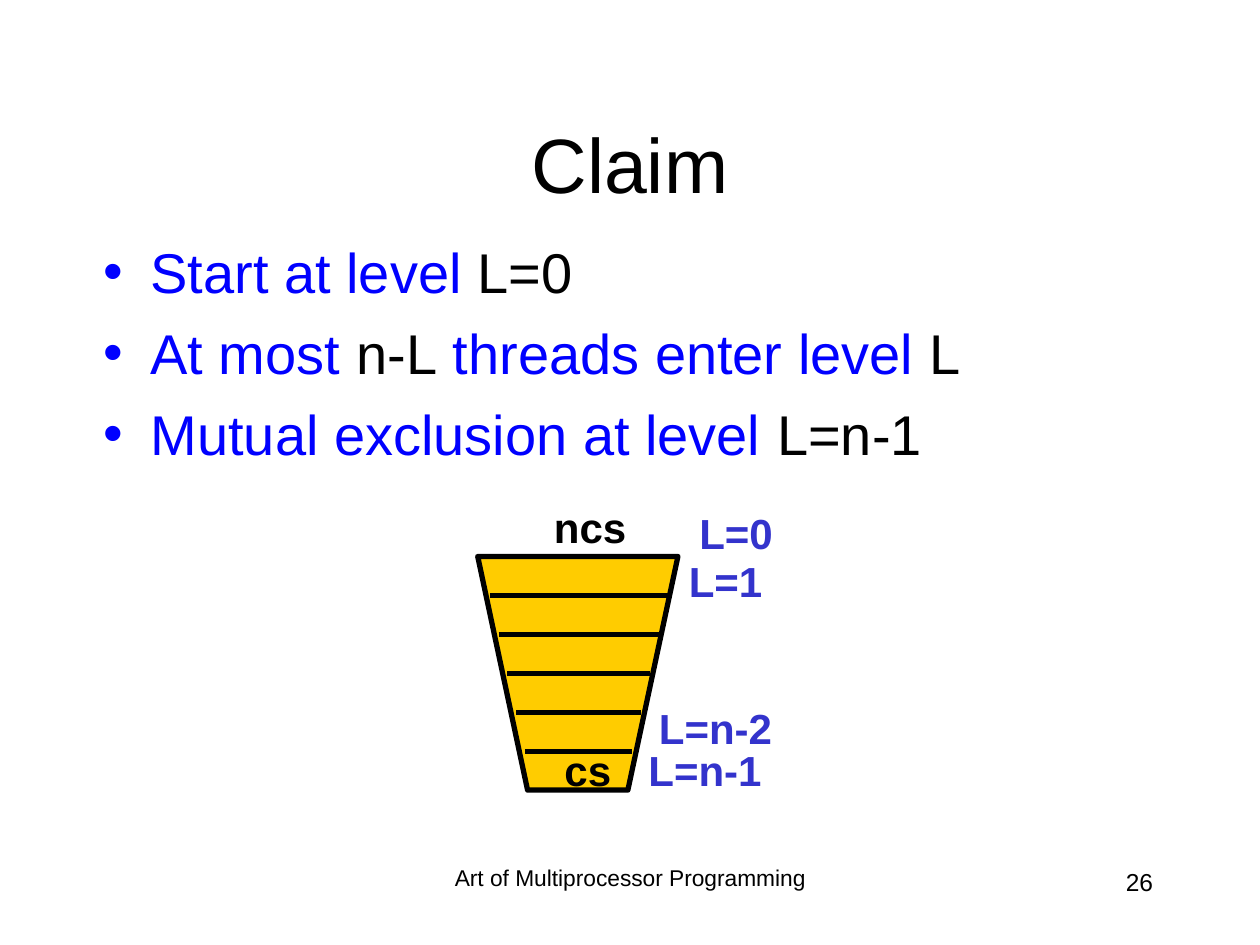
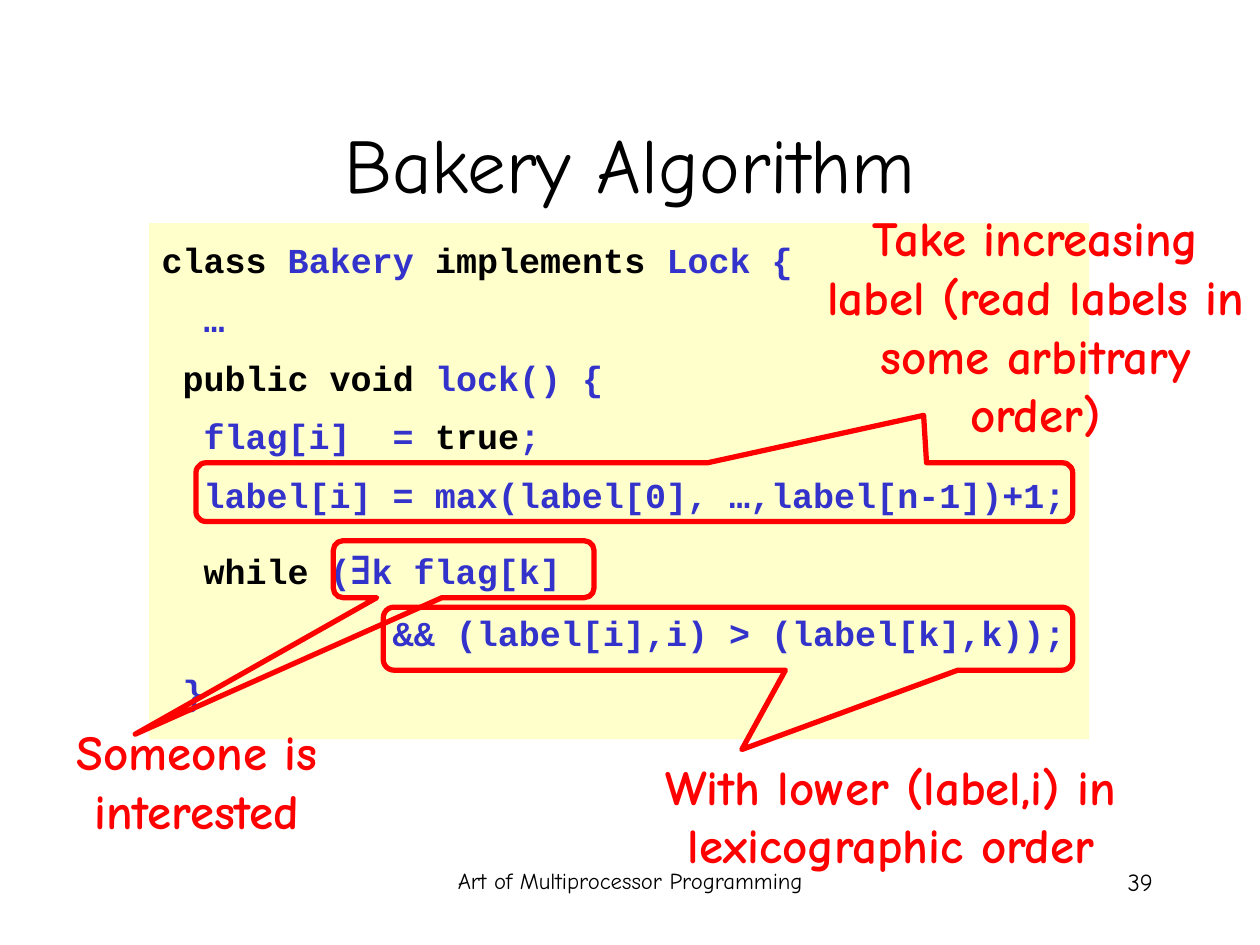
import pptx
import pptx.util
import pptx.dml.color
import pptx.enum.shapes
import pptx.enum.text
import pptx.oxml.ns
import lxml.etree

Pt = pptx.util.Pt
Shape = pptx.enum.shapes.MSO_SHAPE
Align = pptx.enum.text.PP_ALIGN
qn = pptx.oxml.ns.qn

HUES = {"black": "000000", "blue": "0000FF", "navy": "3333CC",
        "gold": "FFCC00", "cream": "FFFFCC", "red": "FF0000"}


def rgb(name):
    return pptx.dml.color.RGBColor.from_string(HUES[name])


class Deck:
    """Holds the style and the current slide."""

    def __init__(self):
        self.prs = pptx.Presentation()
        self.prs.slide_width, self.prs.slide_height = Pt(720), Pt(540)
        self.face = "Arial"

    def start(self, title, number, face, lead=None):
        self.face = face
        self.slide = self.prs.slides.add_slide(self.prs.slide_layouts[5])
        self.shapes = self.slide.shapes
        head = self.shapes.title
        head.left, head.top, head.width, head.height = map(Pt, (54, 48, 612, 90))
        frame = head.text_frame
        frame.text = title
        frame.vertical_anchor = pptx.enum.text.MSO_ANCHOR.MIDDLE
        self.style(frame.paragraphs[0], 44, "black", align=Align.CENTER)
        # Footer and slide number
        foot = self.text("Art of Multiprocessor Programming", (246, 492, 228, 36),
                         13, align=Align.CENTER)
        foot.line_spacing = lead
        self.text(number, (516, 492, 150, 36), 14, align=Align.RIGHT)

    def style(self, para, size, hue, bold=False, align=Align.LEFT, face=None):
        para.alignment = align
        font = para.font
        font.name, font.size, font.bold = face or self.face, Pt(size), bold
        font.color.rgb = rgb(hue)

    def text(self, words, spot, size, hue="black", bold=False,
             align=Align.LEFT, wrap=True):
        frame = self.shapes.add_textbox(*map(Pt, spot)).text_frame
        frame.word_wrap = wrap
        if not wrap:
            frame.auto_size = pptx.enum.text.MSO_AUTO_SIZE.SHAPE_TO_FIT_TEXT
        para = frame.paragraphs[0]
        para.text = words
        self.style(para, size, hue, bold, align)
        return para

    def label(self, words, left, top, width, hue="navy"):
        self.text(words, (left, top, width, 36), 24, hue, True, wrap=False)

    def note(self, words, *spot):
        self.text(words, spot, 28, "red", True, Align.CENTER)

    def lines(self, frame, rows, size, hue, gap, bold=False, face=None,
              lead=None, dot=False):
        """Fill a frame; bars in a row switch between black and the hue."""
        frame.word_wrap = True
        for at, row in enumerate(rows):
            para = frame.add_paragraph() if at else frame.paragraphs[0]
            if at:
                para.space_before = Pt(gap)
            para.line_spacing = lead
            if dot:
                self.bullet(para, hue)
            self.style(para, size, hue, bold, face=face)
            for turn, part in enumerate(row.split("|")):
                for bit in filter(None, part.partition("∃")):
                    run = para.add_run()
                    run.text = bit
                    run.font.color.rgb = rgb(hue if turn % 2 else "black")
                    if bit == "∃":
                        run.font.name, run.font.size = "Arial", Pt(28)

    def bullet(self, para, hue):
        props = para._p.get_or_add_pPr()
        props.set("marL", str(Pt(27)))
        props.set("indent", str(-Pt(27)))
        tint = lxml.etree.SubElement(props, qn("a:buClr"))
        lxml.etree.SubElement(tint, qn("a:srgbClr"), val=HUES[hue])
        lxml.etree.SubElement(props, qn("a:buFont"), typeface=self.face)
        lxml.etree.SubElement(props, qn("a:buChar"), char="•")

    def paint(self, shape, fill=None, line=None):
        shape.shadow.inherit = False
        if fill:
            shape.fill.solid()
            shape.fill.fore_color.rgb = rgb(fill)
        else:
            shape.fill.background()
        if line:
            shape.line.color.rgb = rgb(line)
            shape.line.width = Pt(3)
        else:
            shape.line.fill.background()

    def shape(self, kind, spot, fill=None, line=None):
        shape = self.shapes.add_shape(kind, *map(Pt, spot))
        self.paint(shape, fill, line)
        return shape

    def callout(self, spot, tip):
        shape = self.shape(Shape.ROUNDED_RECTANGULAR_CALLOUT, spot, line="red")
        for at, value in enumerate((*tip, 0.17)):
            shape.adjustments[at] = value

    def outline(self, dots, fill, line):
        first, *rest = [(Pt(x), Pt(y)) for x, y in dots]
        pen = self.shapes.build_freeform(*first)
        pen.add_line_segments(rest, close=True)
        self.paint(pen.convert_to_shape(), fill, line)

    def line(self, *ends):
        kind = pptx.enum.shapes.MSO_CONNECTOR.STRAIGHT
        line = self.shapes.add_connector(kind, *map(Pt, ends))
        line.line.color.rgb = rgb("black")
        line.line.width = Pt(3)
        lxml.etree.SubElement(line._element.spPr, qn("a:effectLst"))


def claim(deck):
    deck.start("Claim", "26", "Arial", lead=0.9)
    body = deck.shapes.add_textbox(*map(Pt, (52, 132, 612, 324)))
    deck.lines(body.text_frame, [
        "|Start at level |L=0",
        "|At most |n-L| threads enter level |L",
        "|Mutual exclusion at level |L=n-1",
    ], 32, "blue", 8, dot=True)

    # Funnel with its rungs
    left, right, top, step = 273, 387.4, 318, 22.25
    base = top + 6 * step
    deck.outline([(left, top), (301.5, base), (358.8, base), (right, top)],
                 "gold", "black")
    for rung in range(1, 6):
        high = top + rung * step
        deck.line(left + 2 + 5 * rung, high, right - 5.3 * rung, high)

    # Level names
    deck.label("ncs", 309.5, 283, 56, "black")
    deck.label("cs", 315.5, 422, 42, "black")
    deck.label("L=0", 392.5, 286.5, 57)
    deck.label("L=1", 386.5, 314, 57)
    deck.label("L=n-2", 369.5, 398, 80)
    deck.label("L=n-1", 363.5, 422, 80)


def bakery(deck):
    deck.start("Bakery Algorithm", "39", "Comic Neue")

    # Code panel
    panel = deck.shape(Shape.RECTANGLE, (85.2, 127.5, 537.2, 295), "cream")
    frame = panel.text_frame
    frame.vertical_anchor = pptx.enum.text.MSO_ANCHOR.TOP
    frame.margin_top = Pt(4)
    deck.lines(frame, [
        "class| Bakery |implements| Lock {",
        "|  …",
        "| |public void| lock() {",
        "|  flag[i]  = |true|;",
        "|  label[i] = max(label[0], …,label[n-1])+1;",
        "|  |while| (∃k flag[k]",
        "|           && (label[i],i) > (label[k],k));",
        "| }",
    ], 20, "navy", 4.8, bold=True, face="Courier New", lead=1.2)

    # Callouts and their notes
    deck.callout((112, 264.5, 501, 33.5), (0.33, -1.31))
    deck.note("Take increasing label (read labels in some arbitrary order)",
              463.5, 115, 256.5, 142)
    deck.callout((190.5, 309, 149, 32.5), (-1.26, 2.9))
    deck.note("Someone is interested", 7, 409, 211, 75)
    deck.callout((219, 347, 394, 36), (0.02, 1.76))
    deck.note("With lower (label,i) in lexicographic order", 352, 428.5, 314, 75)


def main():
    deck = Deck()
    claim(deck)
    bakery(deck)
    deck.prs.save("out.pptx")


if __name__ == "__main__":
    main()
